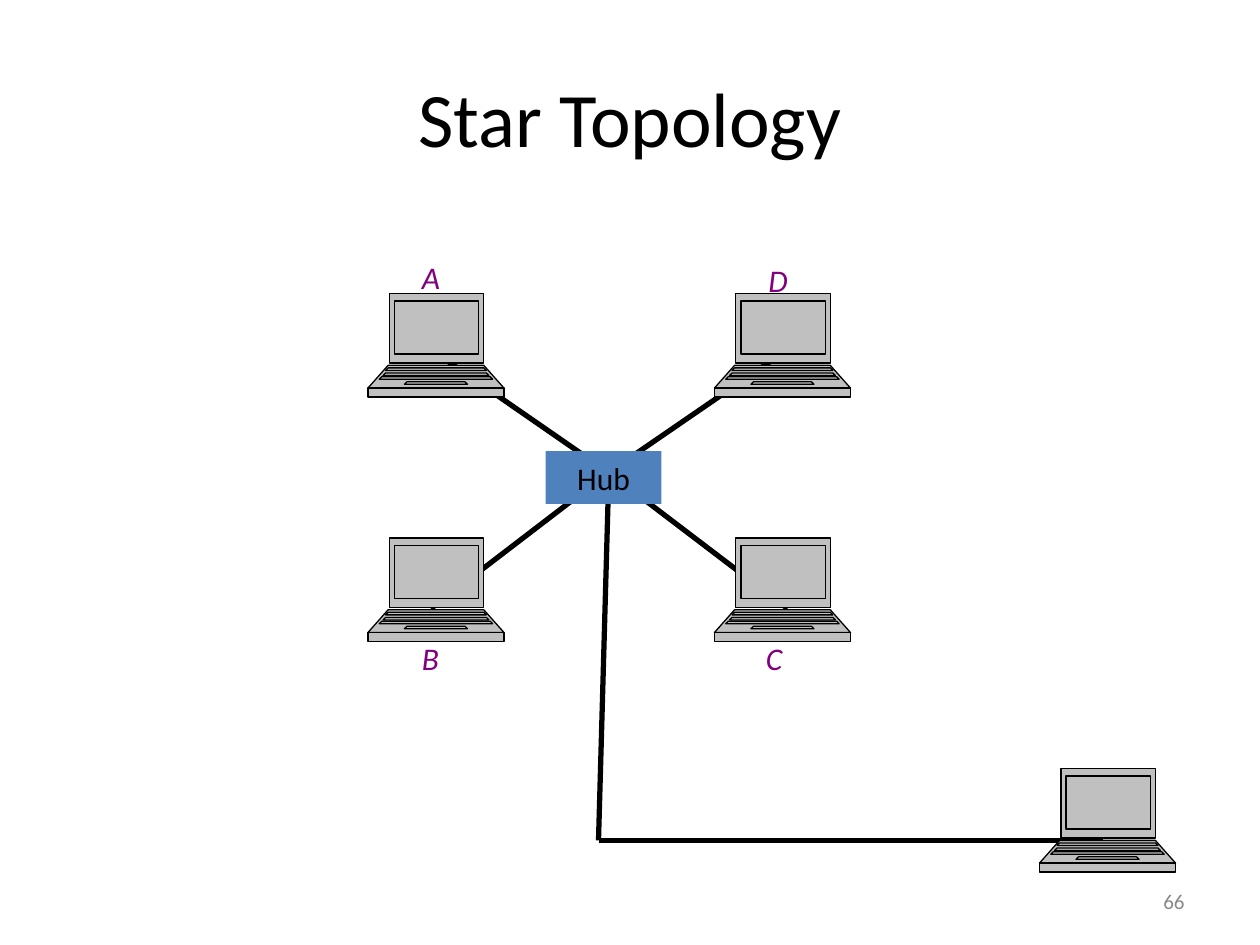
from copy import deepcopy
from lxml import etree
from pptx import Presentation
from pptx import util as u
from pptx.dml.color import RGBColor
from pptx.enum import shapes, text
from pptx.oxml.ns import qn

COLORS = {
    "ink": "000000",
    "laptop": "C0C0C0",
    "hub": "4F81BD",
    "label": "800080",
    "number": "898989",
}


def rgb(name):
    return RGBColor.from_string(COLORS[name])


def write(holder, words, size, color, align, anchor, italic=None):
    frame = holder.text_frame
    frame.text = words
    frame.word_wrap = True
    frame.vertical_anchor = anchor
    line = frame.paragraphs[0]
    line.alignment = align
    font = line.runs[0].font
    font.name = "Calibri"
    font.size = u.Pt(size)
    font.italic = italic
    font.color.rgb = rgb(color)


deck = Presentation()
deck.slide_width, deck.slide_height = u.Inches(10), u.Inches(7.5)
slide = deck.slides.add_slide(deck.slide_layouts[5])
center, middle = text.PP_ALIGN.CENTER, text.MSO_ANCHOR.MIDDLE

title = slide.shapes.title
title.left, title.top = u.Inches(0.5), u.Inches(0.3)
title.width, title.height = u.Inches(9), u.Inches(1.25)
write(title, "Star Topology", 44, "ink", center, middle)

page_number = slide.shapes.add_textbox(u.Inches(7.17), u.Inches(6.95), u.Inches(2.33), u.Inches(0.4))
write(page_number, "66", 12, "number", text.PP_ALIGN.RIGHT, middle)

cables = [
    (4.83, 3.83, 4.75, 6.67),
    (8.75, 6.67, 4.75, 6.67),
    (3.5, 2.83, 4.83, 3.75),
    (4.83, 3.75, 6.17, 2.83),
    (4.83, 3.75, 3.42, 4.83),
    (6.25, 4.83, 4.83, 3.75),
]
for ends in cables:
    cable = slide.shapes.add_connector(shapes.MSO_CONNECTOR.STRAIGHT, *map(u.Inches, ends))
    cable.line.color.rgb = rgb("ink")
    cable.line.width = u.Pt(3)
    etree.SubElement(cable._element.spPr, qn("a:effectLst"))

# each part: top edge (left, right, y), bottom edge (left, right, y)
laptop_parts = [
    (0.17, 0.92, 0, 0.17, 0.92, 0.55),
    (0.16, 0.92, 0.57, 0, 1.08, 0.75),
    (0, 1.08, 0.75, 0, 1.08, 0.82),
    (0.21, 0.88, 0.06, 0.21, 0.88, 0.48),
    (0.16, 0.92, 0.59, 0.14, 0.94, 0.61),
    (0.31, 0.77, 0.7, 0.29, 0.79, 0.72),
    (0.14, 0.94, 0.63, 0.12, 0.96, 0.65),
    (0.11, 0.97, 0.66, 0.09, 0.99, 0.68),
]
laptop_places = [(2.92, 4.27), (5.67, 2.33), (2.92, 2.33), (5.67, 4.27), (8.25, 6.1)]
for left, top in laptop_places:
    outline = slide.shapes.build_freeform(scale=1.0)
    for part in laptop_parts:
        top_left, top_right, top_y, low_left, low_right, low_y = map(u.Inches, part)
        outline.move_to(top_left, top_y)
        outline.add_line_segments([(top_right, top_y), (low_right, low_y), (low_left, low_y)])
    laptop = outline.convert_to_shape(u.Inches(left), u.Inches(top))
    laptop.shadow.inherit = False
    laptop.fill.solid()
    laptop.fill.fore_color.rgb = rgb("laptop")
    laptop.line.color.rgb = rgb("ink")
    laptop.line.width = u.Pt(0.75)

    joined = next(laptop._element.iter(qn("a:path")))
    blank = deepcopy(joined)
    for step in list(blank):
        blank.remove(step)
    for step in list(joined):
        if step.tag == qn("a:moveTo"):
            contour = deepcopy(blank)
            joined.addprevious(contour)
        contour.append(step)
    joined.getparent().remove(joined)

hub = slide.shapes.add_shape(
    shapes.MSO_SHAPE.RECTANGLE, u.Inches(4.33), u.Inches(3.58), u.Inches(0.92), u.Inches(0.42))
hub.shadow.inherit = False
hub.fill.solid()
hub.fill.fore_color.rgb = rgb("hub")
hub.line.fill.background()
write(hub, "Hub", 18, "ink", center, middle)

for letter, left, top in [("A", 3.25, 2), ("D", 6, 2.02), ("B", 3.25, 5.02), ("C", 5.98, 5.02)]:
    label = slide.shapes.add_textbox(u.Inches(left), u.Inches(top), u.Inches(0.36), u.Inches(0.4))
    write(label, letter, 18, "label", text.PP_ALIGN.LEFT, text.MSO_ANCHOR.TOP, True)

deck.save("out.pptx")
